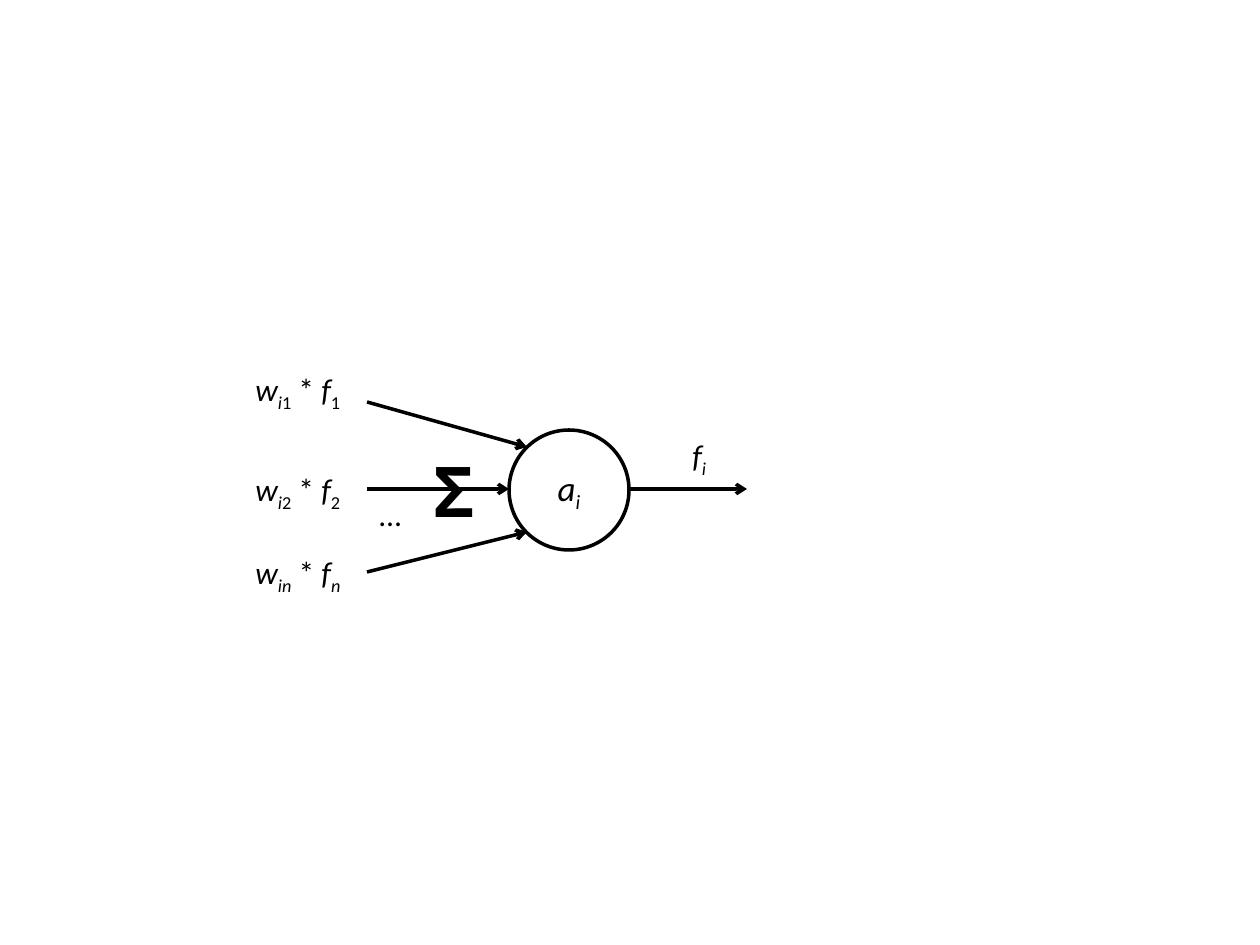
"""Build a slide with a neuron that sums its weighted inputs."""
from lxml.etree import SubElement
from pptx import Presentation
from pptx.dml.color import RGBColor as RGB
from pptx.enum.shapes import MSO_CONNECTOR as CONN, MSO_SHAPE as SHAPE
from pptx.enum.text import MSO_ANCHOR as ANCHOR, MSO_AUTO_SIZE as AUTO, PP_ALIGN as ALIGN
from pptx.oxml.ns import qn
from pptx.util import Pt

PX = 914400 / 126
COLORS = {"ink": "000000", "paper": "FFFFFF"}
INK, PAPER = (RGB.from_string(COLORS[name]) for name in ("ink", "paper"))


def px(*values):
    return [round(v * PX) for v in values]


def write(tf, runs, size, **extra):
    for text, italic, sub in runs:
        r = tf.paragraphs[0].add_run()
        r.text = text
        fmt = {"name": "Calibri", "size": Pt(size), "italic": italic, **extra}
        for key, value in fmt.items():
            setattr(r.font, key, value)
        r.font.color.rgb = INK
        if sub:
            r.font._element.set("baseline", "-25000")


prs = Presentation()
prs.slide_width, prs.slide_height = px(1260, 945)
s = prs.slides.add_slide(prs.slide_layouts[6])
shapes = s.shapes.add_group_shape().shapes

sp = shapes.add_shape(SHAPE.OVAL, *px(509, 430, 120, 120))
sp.shadow.inherit = False
sp.fill.solid()
sp.fill.fore_color.rgb = PAPER
sp.line.color.rgb = INK
sp.line.width = Pt(2)
sp.text_frame.vertical_anchor = ANCHOR.MIDDLE
sp.text_frame.paragraphs[0].alignment = ALIGN.CENTER
write(sp.text_frame, [("a", True, False), ("i", True, True)], 20)

arrows = [
    (367, 402, 527, 447),
    (367, 489, 509, 489),
    (367, 572, 527, 532),
    (629, 489, 747, 489),
]
for ends in arrows:
    line = shapes.add_connector(CONN.STRAIGHT, *px(*ends))
    line.line.color.rgb = INK
    line.line.width = Pt(2)
    SubElement(line.line._get_or_add_ln(), qn("a:tailEnd"), type="arrow")
    SubElement(line._element.spPr, qn("a:effectLst"))

labels = [
    ((421, 441, 71, 97), [("Σ", False, False)], 40, {"name": "Open Sans", "bold": True}),
    ((367, 489, 173, 53), [("…", False, False)], 18, {}),
    ((680, 430, 100, 50), [("f", True, False), ("i", True, True)], 18, {}),
]
for index, top in (("1", 364), ("2", 464), ("n", 547)):
    slanted = index.isalpha()
    runs = [
        ("w", True, False),
        ("i", True, True),
        (index, slanted, True),
        (" * ", False, False),
        ("f", True, False),
        (index, slanted, True),
    ]
    labels.append(((243, top, 152, 50), runs, 18, {}))

for box, runs, size, extra in labels:
    tf = shapes.add_textbox(*px(*box)).text_frame
    tf.word_wrap = runs[0][0] != "Σ"
    tf.auto_size = AUTO.SHAPE_TO_FIT_TEXT
    write(tf, runs, size, **extra)

prs.save("out.pptx")
